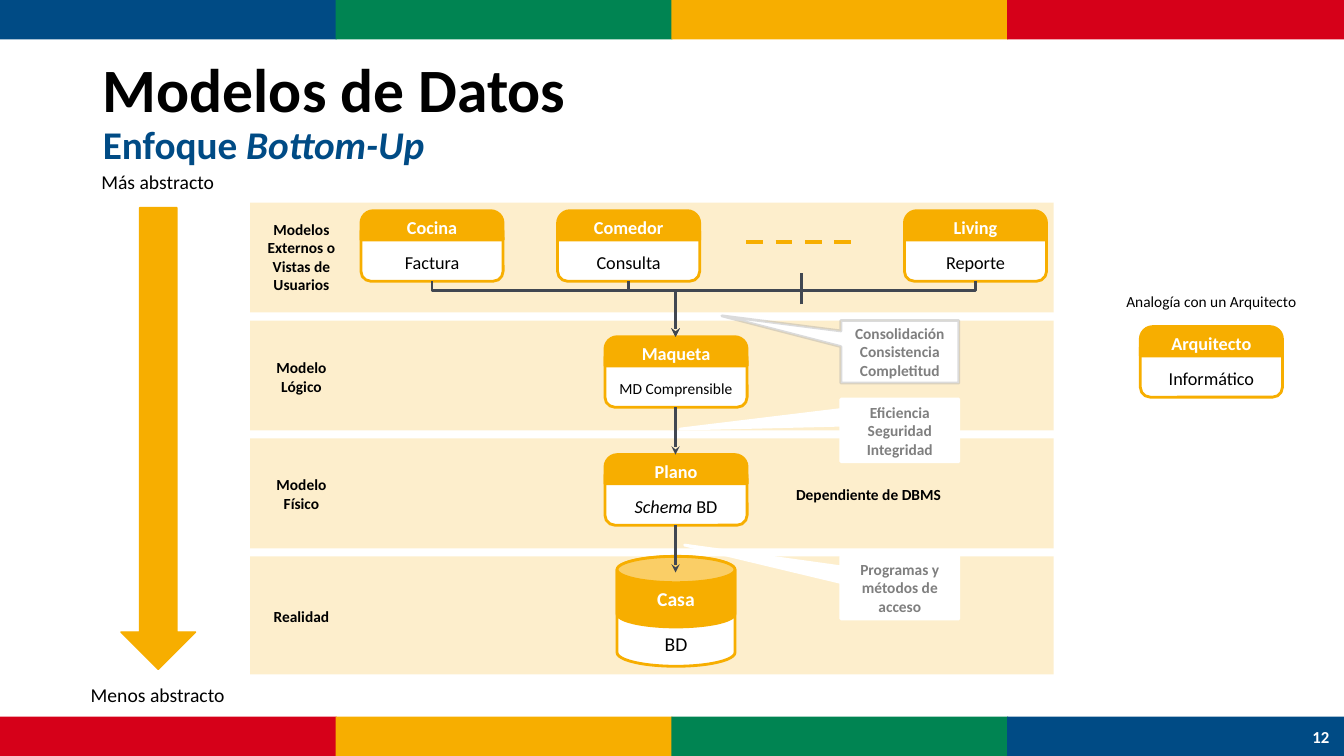
from dataclasses import dataclass

from lxml import etree
from pptx import Presentation
from pptx.dml.color import RGBColor
from pptx.enum import dml, shapes, text
from pptx.oxml.ns import qn
from pptx.util import Emu, Pt

PX = 9144  # EMU per px, 100 px to the inch
BLUE = RGBColor(0x00, 0x4B, 0x85)
GREEN = RGBColor(0x00, 0x84, 0x52)
GOLD = RGBColor(0xF7, 0xAE, 0x00)
RED = RGBColor(0xD6, 0x00, 0x19)
WHITE = RGBColor(0xFF, 0xFF, 0xFF)
BLACK = RGBColor(0x00, 0x00, 0x00)
SLATE = RGBColor(0x41, 0x47, 0x51)
GRAY = RGBColor(0x7F, 0x7F, 0x7F)
SILVER = RGBColor(0xA6, 0xA6, 0xA6)
KIND = shapes.MSO_SHAPE
LINE = shapes.MSO_CONNECTOR
ALIGN = text.PP_ALIGN
ANCHOR = text.MSO_ANCHOR
AXIS = 670  # centre of the flow
CARD_W = 141


@dataclass
class Card:
    left: int
    top: int
    head: str
    body: str
    size: int = 13


@dataclass
class Note:
    top: int
    tip: tuple[float, float]
    words: str
    edge: RGBColor = WHITE
    alpha: int = 100


@dataclass
class Band:
    top: int
    height: int
    name: str
    mid: int


@dataclass
class Label:
    left: int
    top: int
    width: int
    words: str
    size: int = 11
    bold: bool = False


CARDS = [
    Card(358, 209, "Cocina", "Factura"),
    Card(553, 209, "Comedor", "Consulta"),
    Card(897, 209, "Living", "Reporte"),
    Card(600, 334, "Maqueta", "MD Comprensible", 11),
    Card(600, 451, "Plano", "*Schema* BD"),
    Card(1131, 324, "Arquitecto", "Informático"),
]
BANDS = [
    Band(201, 109, "Modelos Externos o\nVistas de Usuarios", 255),
    Band(318, 109, "Modelo\nLógico", 374),
    Band(435, 109, "Modelo\nFísico", 490),
    Band(552, 117, "Realidad", 611),
]
NOTES = [
    Note(318, (-1.509, -0.575), "Consolidación\nConsistencia\nCompletitud", SILVER, 40),
    Note(396, (-1.864, -0.021), "Eficiencia\nSeguridad\nIntegridad"),
    Note(552, (-1.825, -0.682), "Programas y métodos de acceso"),
]
LABELS = [
    Label(80, 164, 153, "Más abstracto", 14),
    Label(65, 673, 183, "Menos abstracto", 14),
    Label(756, 476, 211, "Dependiente de DBMS", bold=True),
    Label(1096, 285, 211, "Analogía con un Arquitecto"),
]

deck = Presentation()
deck.slide_width, deck.slide_height = Emu(1333 * PX), Emu(750 * PX)
slide = deck.slides.add_slide(deck.slide_layouts[5])


def px(*sizes: float) -> list[Emu]:
    return [Emu(round(size * PX)) for size in sizes]


def fade(fill, alpha: int) -> None:
    """Set the opacity, in percent, of a solid fill element."""
    for tone in fill.iter(qn("a:srgbClr")):
        etree.SubElement(tone, qn("a:alpha"), val=str(alpha * 1000))


def add_runs(para, words: str, size: int, color: RGBColor, bold: bool) -> None:
    """Add words to a paragraph; a part between asterisks is italic."""
    for i, part in enumerate(words.split("*")):
        if part:
            run = para.add_run()
            run.text = part
            font = run.font
            font.name, font.size, font.bold, font.italic = "Calibri", Pt(size), bold, i % 2 == 1
            font.color.rgb = color


def write(shape, words: str, size: int = 11, color: RGBColor = BLACK, bold: bool = False,
          align=ALIGN.CENTER, anchor=ANCHOR.MIDDLE, top: int = 5, low: int = 5) -> None:
    frame = shape.text_frame
    frame.word_wrap, frame.vertical_anchor = True, anchor
    frame.margin_left, frame.margin_top, frame.margin_right, frame.margin_bottom = px(10, top, 10, low)
    for i, row in enumerate(words.split("\n")):
        para = frame.add_paragraph() if i else frame.paragraphs[0]
        para.alignment = align
        add_runs(para, row, size, color, bold)


def add_box(left: int, top: int, width: int, height: int, words: str, **form):
    box = slide.shapes.add_textbox(*px(left, top, width, height))
    write(box, words, **form)
    return box


def draw(kind, left: int, top: int, width: int, height: int, fill: RGBColor,
         edge: RGBColor | None = None, weight: int = 2, adj: tuple = ()):
    shape = slide.shapes.add_shape(kind, *px(left, top, width, height))
    shape.shadow.inherit = False
    shape.fill.solid()
    shape.fill.fore_color.rgb = fill
    if edge is None:
        shape.line.fill.background()
    else:
        shape.line.color.rgb = edge
        shape.line.width = Pt(weight)
    for i, size in enumerate(adj):
        shape.adjustments[i] = size
    return shape


def link(x0: float, y0: float, x1: float, y1: float, color: RGBColor = SLATE,
         weight: int = 2, kind=LINE.STRAIGHT, arrow: bool = False):
    wire = slide.shapes.add_connector(kind, *px(x0, y0, x1, y1))
    wire.line.color.rgb, wire.line.width = color, Pt(weight)
    if arrow:
        etree.SubElement(wire.line._get_or_add_ln(), qn("a:tailEnd"), type="stealth")
    etree.SubElement(wire._element.spPr, qn("a:effectLst"))
    return wire


def join(x: float, top: int = 279, low: int = 334) -> None:
    """Lead from a card at x down, across and down to the axis."""
    mid_x, mid_y = (x + AXIS) / 2, (top + low) / 2
    half, reach = (low - top) / 2, abs(x - AXIS) / 2
    side = 1 if x < AXIS else -1  # mirrored on the left of the axis
    wire = link(mid_x + side * half, mid_y - reach, mid_x - side * half, mid_y + reach,
                kind=LINE.ELBOW, arrow=True)
    props = wire._element.spPr
    props.find(qn("a:xfrm")).set("rot", str((270 if side > 0 else 90) * 60000))
    guides = props.find(qn("a:prstGeom")).find(qn("a:avLst"))
    etree.SubElement(guides, qn("a:gd"), name="adj1", fmla="val 16400")


def add_card(card: Card) -> None:
    body = draw(KIND.ROUNDED_RECTANGLE, card.left, card.top + 11, CARD_W, 59, WHITE, GOLD, adj=(0.167,))
    write(body, card.body, size=card.size, top=27)
    head = draw(KIND.ROUND_2_SAME_RECTANGLE, card.left, card.top, CARD_W, 29, GOLD, GOLD, adj=(0.424, 0))
    write(head, card.head, size=13, color=WHITE, bold=True)


def add_note(note: Note) -> None:
    shape = draw(KIND.RECTANGULAR_CALLOUT, 834, note.top, 117, 62, WHITE, note.edge, adj=note.tip)
    if note.alpha < 100:
        fade(shape.line._get_or_add_ln(), note.alpha)
    write(shape, note.words, color=GRAY, bold=True)


def add_title() -> None:
    title = slide.shapes.title
    title.left, title.top, title.width, title.height = px(92, 40, 1150, 145)
    title.text_frame.auto_size = text.MSO_AUTO_SIZE.NONE
    write(title, "Modelos de Datos", size=44, bold=True, align=ALIGN.LEFT)
    para = title.text_frame.paragraphs[0]
    para.line_spacing = 0.9
    para.add_line_break()
    add_runs(para, "Enfoque *Bottom-Up*", 28, BLUE, True)


def main() -> None:
    for top, tones in ((0, (BLUE, GREEN, GOLD, RED)), (711, (RED, GOLD, GREEN, BLUE))):
        for i, tone in enumerate(tones):
            draw(KIND.RECTANGLE, i * 333, top, 334, 39, tone)
    add_title()
    add_box(1287, 711, 46, 40, "12", size=12, color=WHITE, bold=True)
    draw(KIND.DOWN_ARROW, 120, 206, 74, 458, GOLD, GOLD, weight=1)
    for band in BANDS:
        strip = draw(KIND.RECTANGLE, 248, band.top, 797, band.height, GOLD)
        fade(strip._element.spPr, 20)
        add_box(248, band.mid - 42, 102, 84, band.name, bold=True)
    for card in CARDS:
        add_card(card)
    store = draw(KIND.CAN, 612, 552, 117, 109, WHITE, GOLD, adj=(0.25,))
    write(store, "BD", size=14, anchor=ANCHOR.TOP, top=48, low=0)
    house = draw(KIND.CAN, 612, 552, 117, 70, GOLD, GOLD, adj=(0.373,))
    write(house, "Casa", size=14, color=WHITE, bold=True)
    link(740, 240, 850, 240, GOLD, 3).line.dash_style = dml.MSO_LINE.DASH
    for card in CARDS[:3]:
        join(card.left + CARD_W / 2)
    link(795, 302, 795, 271)
    for top, low in ((404, 451), (521, 568)):
        link(AXIS, top, AXIS, low, arrow=True)
    for note in NOTES:
        add_note(note)
    for label in LABELS:
        add_box(label.left, label.top, label.width, 30, label.words, size=label.size,
                bold=label.bold, anchor=ANCHOR.TOP)
    deck.save("out.pptx")


if __name__ == "__main__":
    main()
